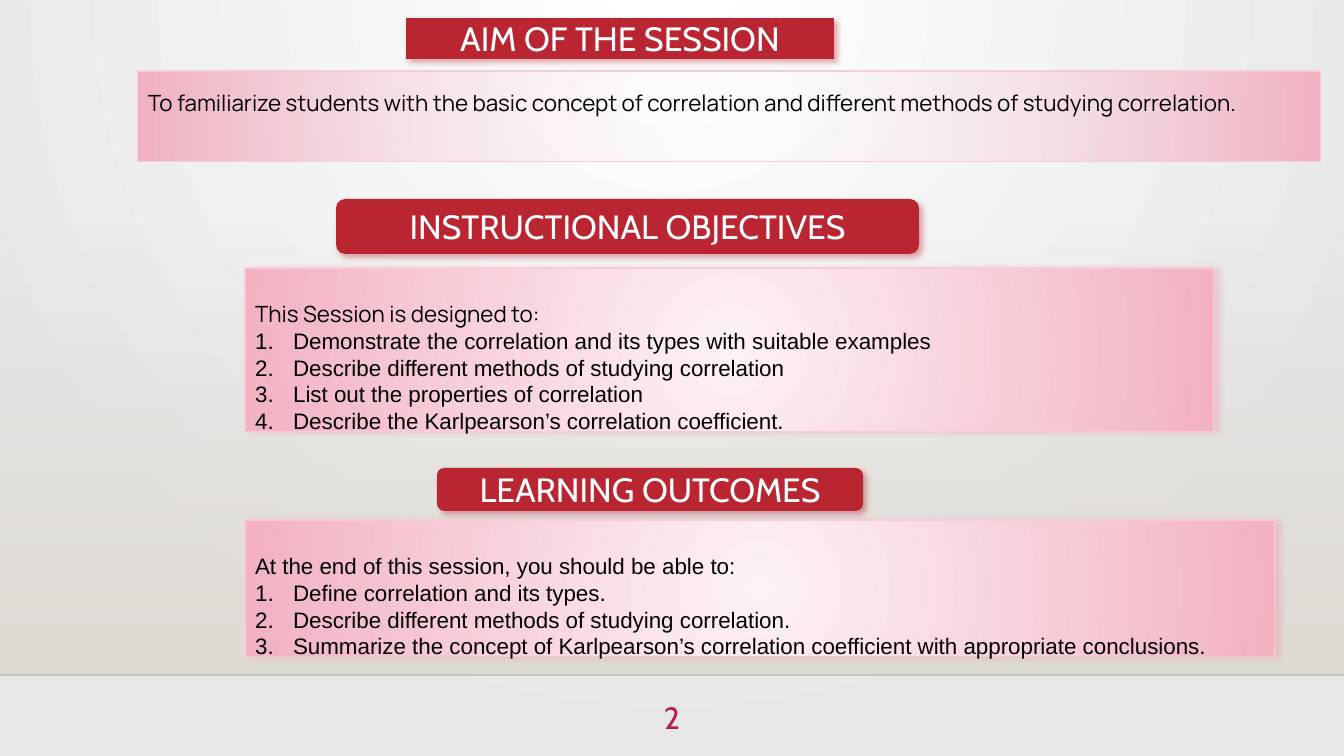
from lxml import etree
from pptx import Presentation
from pptx.dml.color import RGBColor
from pptx.enum.shapes import MSO_CONNECTOR, MSO_SHAPE as Shape
from pptx.enum.text import MSO_ANCHOR as Anchor, MSO_AUTO_SIZE as AutoSize, PP_ALIGN as Align
from pptx.oxml.ns import qn
from pptx.util import Pt

EMU_PER_PX = 914400 / 100.8
COLORS = {
    "white": "FFFFFF", "silver": "E7E7E7", "sand": "DFDBD5", "rule": "000001",
    "red": "BA2532", "crimson": "B71E42", "black": "000000",
    "blush": "FDF2F5", "pink": "F2B2C2", "edge": "F7CCD6", "glow": "EE99AD",
}
FONTS = {
    "header": {"name": "Cabin", "size": Pt(24)},
    "number": {"name": "Cabin", "size": Pt(22)},
    "intro": {"name": "Manrope", "size": Pt(16)},
    "list": {"name": "Arial", "size": Pt(16)},
}
HEADER_FRAME = {"word_wrap": True, "auto_size": AutoSize.NONE, "vertical_anchor": Anchor.MIDDLE}
PANEL_FRAME = {"word_wrap": True, "auto_size": AutoSize.SHAPE_TO_FIT_TEXT,
               "vertical_anchor": Anchor.TOP}
CENTERED = {"alignment": Align.CENTER}
LIST_INDENT = 38


def px(length):
    return round(length * EMU_PER_PX)


def rgb(name):
    return RGBColor.from_string(COLORS[name])


def assign(target, values):
    for key, value in values.items():
        setattr(target, key, value)


def add_child(parent, tag, **attributes):
    return etree.SubElement(parent, qn(tag), {key: str(value) for key, value in attributes.items()})


def set_alpha(holder, percent):
    """Make the first colour inside an XML element transparent."""
    add_child(next(holder.iter(qn("a:srgbClr"))), "a:alpha", val=percent * 1000)


class SessionSlide:
    def __init__(self, deck):
        self.page = deck.slides.add_slide(deck.slide_layouts[3])
        self.title, self.objectives, self.outcomes = self.page.placeholders

    def gradient(self, fill, holder, names, focus=None, clear_start=False):
        """Fill with two colours, downwards or outwards from a focus rectangle."""
        fill.gradient()
        for stop, name in zip(fill.gradient_stops, names):
            stop.color.rgb = rgb(name)
        gradient = next(holder.iter(qn("a:gradFill")))
        if clear_start:
            set_alpha(gradient, 0)
        if focus is None:
            fill.gradient_angle = 270
            return
        gradient.remove(gradient.find(qn("a:lin")))
        circle = add_child(gradient, "a:path", path="circle")
        add_child(circle, "a:fillToRect", **{side: share * 1000 for side, share in zip("ltrb", focus)})

    def background(self):
        self.gradient(self.page.background.fill, self.page.element, ("white", "silver"), (43, 0, 43, 100))

    def backdrop(self, *area):
        shape = self.shape(Shape.RECTANGLE, area)
        shape.line.fill.background()
        self.gradient(shape.fill, shape.element, ("sand", "sand"), clear_start=True)
        self.page.shapes.element.insert(2, shape.element)

    def rule(self, left, right, top):
        line = self.page.shapes.add_connector(
            MSO_CONNECTOR.STRAIGHT, px(left), px(top), px(right), px(top))
        line.line.width = Pt(1)
        line.line.color.rgb = rgb("rule")
        properties = line.line._get_or_add_ln().getparent()
        set_alpha(properties, 20)
        add_child(properties, "a:effectLst")

    def shape(self, kind, area, holder=None):
        """Add a preset shape, or move a placeholder and give it that outline."""
        area = [px(length) for length in area]
        if holder is None:
            holder = self.page.shapes.add_shape(kind, *area)
        else:
            assign(holder, dict(zip(("left", "top", "width", "height"), area)))
            preset = "roundRect" if kind == Shape.ROUNDED_RECTANGLE else "rect"
            add_child(add_child(holder.element.spPr, "a:prstGeom", prst=preset), "a:avLst")
        holder.shadow.inherit = False
        return holder

    def shadow(self, shape, color, degrees):
        effects = shape.element.spPr.find(qn("a:effectLst"))
        outer = add_child(effects, "a:outerShdw", blurRad=Pt(4), dist=Pt(3),
                          dir=degrees * 60000, algn="tl", rotWithShape=0)
        add_child(outer, "a:srgbClr", val=COLORS[color])
        set_alpha(outer, 40)

    def add_text(self, para, text, style, color, **layout):
        assign(para, {"space_before": Pt(0), **layout})
        span = para.add_run()
        span.text = text
        assign(span.font, FONTS[style])
        span.font.color.rgb = rgb(color)

    def header(self, text, *area, holder=None):
        shape = self.shape(Shape.ROUNDED_RECTANGLE, area, holder)
        shape.fill.solid()
        shape.fill.fore_color.rgb = rgb("red")
        shape.line.fill.background()
        self.shadow(shape, "red", 45)
        assign(shape.text_frame, HEADER_FRAME)
        self.add_text(shape.text_frame.paragraphs[0], text, "header", "white", **CENTERED)

    def panel(self, intro, *area, items=(), style="list", spacing=2.0, holder=None):
        """Add a pink panel with an opening line and an optional numbered list."""
        shape = self.shape(Shape.RECTANGLE, area, holder)
        self.gradient(shape.fill, shape.element, ("blush", "pink"), (50, 50, 50, 50),
                      clear_start=not items)
        shape.line.color.rgb = rgb("edge")
        shape.line.width = Pt(0.75)
        if items:
            self.shadow(shape, "glow", 0)
        frame = shape.text_frame
        assign(frame, PANEL_FRAME)
        para = frame.paragraphs[0]
        self.bullet(para, 0, "a:buNone")
        self.add_text(para, intro, style, "black", alignment=Align.LEFT, line_spacing=spacing)
        for item in items:
            para = frame.add_paragraph()
            self.bullet(para, px(LIST_INDENT), "a:buAutoNum", type="arabicPeriod")
            self.add_text(para, item, "list", "black", alignment=Align.LEFT)

    def bullet(self, para, indent, tag, **attributes):
        properties = para._p.get_or_add_pPr()
        properties.set("marL", str(indent))
        properties.set("indent", str(-indent))
        add_child(properties, tag, **attributes)

    def number(self, text, *area):
        box = self.page.shapes.add_textbox(*[px(length) for length in area])
        box.text_frame.word_wrap = True
        self.add_text(box.text_frame.paragraphs[0], text, "number", "crimson", **CENTERED)


def main():
    deck = Presentation()
    deck.slide_width, deck.slide_height = px(1344), px(756)
    slide = SessionSlide(deck)
    slide.background()
    slide.backdrop(0, 223, 1344, 452)
    slide.rule(0, 1344, 675)
    slide.number("2", 627, 694, 90, 55)

    slide.header("AIM OF THE SESSION", 406, 18, 428, 41, holder=slide.title)
    slide.panel("To familiarize students with the basic concept of correlation and "
                "different methods of studying correlation.",
                138, 71, 1183, 91, style="intro", spacing=1.5)

    slide.header("INSTRUCTIONAL OBJECTIVES", 336, 199, 583, 55)
    slide.panel("This Session is designed to:", 245, 268, 969, 173, style="intro",
                holder=slide.objectives, items=(
                    "Demonstrate the correlation and its types with suitable examples",
                    "Describe different methods of studying correlation",
                    "List out the properties of correlation",
                    "Describe the Karlpearson’s correlation coefficient."))

    slide.header("LEARNING OUTCOMES", 437, 468, 426, 43)
    slide.panel("At the end of this session, you should be able to:", 245, 520, 1030, 146,
                holder=slide.outcomes, items=(
                    "Define correlation and its types.",
                    "Describe different methods of studying correlation.",
                    "Summarize the concept of Karlpearson’s correlation coefficient "
                    "with appropriate conclusions."))
    deck.save("out.pptx")


if __name__ == "__main__":
    main()
